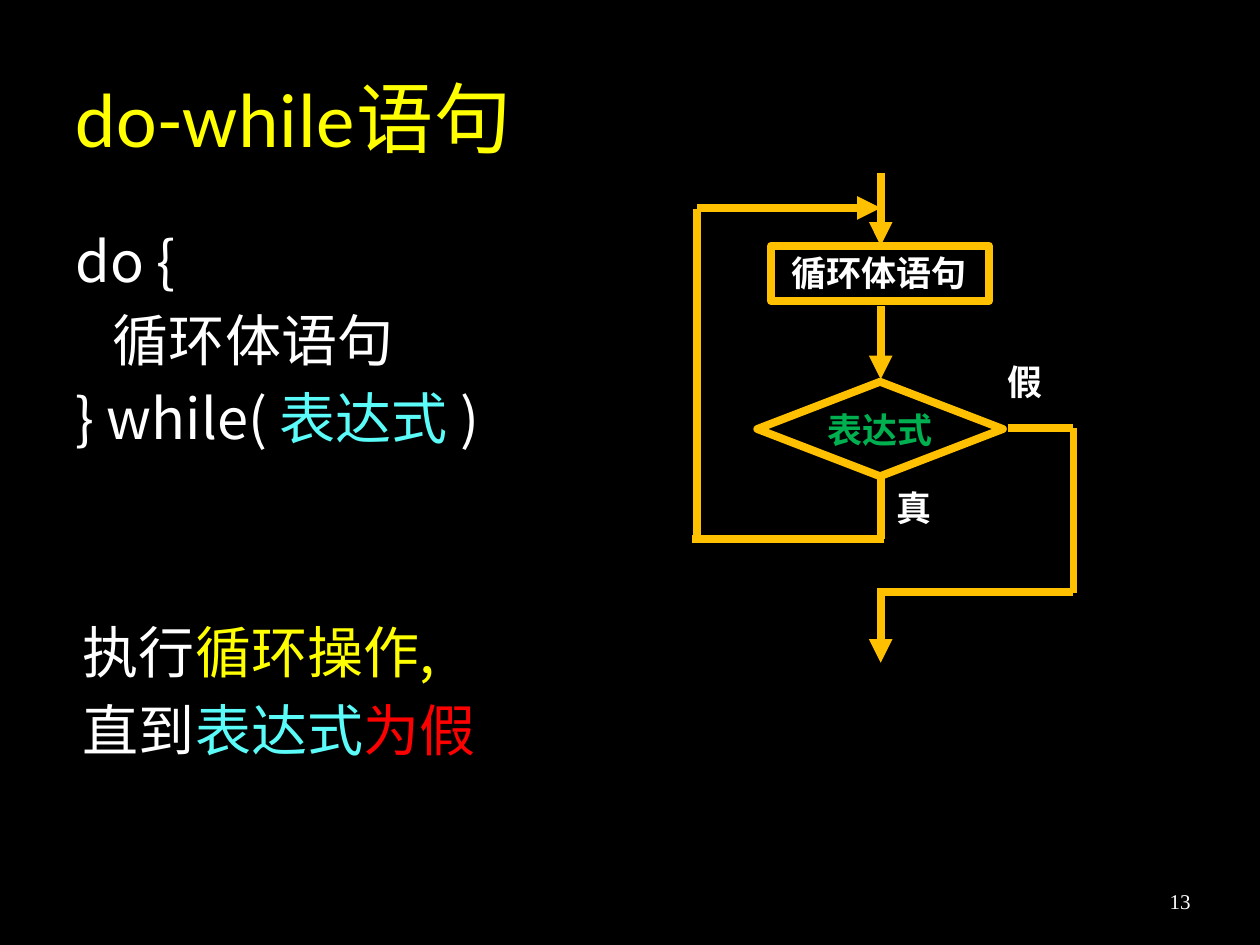
from lxml import etree
from pptx import Presentation
from pptx import util as u
from pptx.dml.color import RGBColor
from pptx.enum import shapes, text
from pptx.oxml.ns import qn

HUES = {"black": "000000", "white": "FFFFFF", "yellow": "FFFF00", "cyan": "5AFBF8",
        "red": "FF0000", "green": "00B050", "gold": "FFC000"}
COLS, ROWS = 100, 75
SANS, SERIF, HEAD = "Noto Sans CJK SC", "Times New Roman", "Calibri"


class Deck:
    """Style and current slide, drawn on a grid of COLS by ROWS cells."""

    def __init__(self):
        self.file = Presentation()
        self.file.slide_width, self.file.slide_height = u.Inches(10), u.Inches(7.5)
        self.slide = self.file.slides.add_slide(self.file.slide_layouts[6])
        fill = self.slide.background.fill
        fill.solid()
        fill.fore_color.rgb = self.hue("black")

    def hue(self, name):
        return RGBColor.from_string(HUES[name])

    def place(self, col, row):
        return (round(self.file.slide_width * col / COLS),
                round(self.file.slide_height * row / ROWS))

    def letter(self, shape, lines, size, font, bold=False, align="LEFT", mid=False,
               pad=(0.1, 0.05), wrap=True, gap=0, track=0):
        frame = shape.text_frame
        frame.word_wrap = wrap
        frame.vertical_anchor = text.MSO_ANCHOR.MIDDLE if mid else text.MSO_ANCHOR.TOP
        frame.margin_left = frame.margin_right = u.Inches(pad[0])
        frame.margin_top = frame.margin_bottom = u.Inches(pad[1])
        for i, line in enumerate(lines):
            para = frame.add_paragraph() if i else frame.paragraphs[0]
            para.alignment = getattr(text.PP_ALIGN, align)
            para.space_before = u.Pt(gap if i else 0)
            for words, color in line:
                run = para.add_run()
                run.text = words
                run.font.size, run.font.name, run.font.bold = u.Pt(size), font, bold
                run.font.color.rgb = self.hue(color)
                if track:
                    run._r.get_or_add_rPr().set("spc", str(track))

    def label(self, col, row, wide, high, lines, size, font, **style):
        box = self.slide.shapes.add_textbox(*self.place(col, row), *self.place(wide, high))
        self.letter(box, lines, size, font, **style)

    def node(self, kind, col, row, wide, high, words, color, **style):
        shape = self.slide.shapes.add_shape(kind, *self.place(col, row), *self.place(wide, high))
        shape.shadow.inherit = False
        shape.fill.background()
        shape.line.color.rgb = self.hue("gold")
        shape.line.width = u.Pt(4.5)
        self.letter(shape, [[(words, color)]], 20, SERIF, bold=True, **style)

    def line(self, start, end, arrow=False):
        link = self.slide.shapes.add_connector(
            shapes.MSO_CONNECTOR.STRAIGHT, *self.place(*start), *self.place(*end))
        link.line.color.rgb = self.hue("gold")
        link.line.width = u.Pt(4.5)
        props = link._element.spPr
        if arrow:
            etree.SubElement(props.find(qn("a:ln")), qn("a:tailEnd"), type="triangle")
        etree.SubElement(props, qn("a:effectLst"))


def main():
    deck = Deck()
    deck.label(5, 3, 85, 12.5, [[("do-while语句", "yellow")]], 44, HEAD, mid=True, track=50)
    deck.label(5, 17.5, 50, 20, [
        [("do {", "white")],
        [("   循环体语句", "white")],
        [("} while( ", "white"), ("表达式 ", "cyan"), (")", "white")],
    ], 32, SANS, gap=6.4)
    deck.label(5.6, 48.5, 50, 14, [
        [("执行", "white"), ("循环操作,", "yellow")],
        [("直到", "white"), ("表达式", "cyan"), ("为假", "red")],
    ], 32, SANS, gap=6.4)
    deck.label(71.7, 69.5, 23.3, 4, [[("13", "white")]], 12, SERIF,
               align="RIGHT", mid=True, pad=(0.05, 0.05))

    axis, left, right = 69.9, 55.3, 85.2
    kind = shapes.MSO_SHAPE
    deck.node(kind.DIAMOND, 60.1, 30.3, 19.5, 7.5, "表达式", "green",
              align="CENTER", mid=True, pad=(0, 0.05), wrap=False)
    deck.node(kind.RECTANGLE, 61.2, 19.5, 17.3, 4.4, "循环体语句", "white", pad=(0.16, 0.05))
    for col, row, words in ((70.2, 38.1, "真"), (79, 28.1, "假")):
        deck.label(col, row, 5.4, 4.3, [[(words, "white")]], 20, SERIF, bold=True)

    for top, end in ((13.7, 19.5), (24.3, 30.1), (46.8, 52.6)):
        deck.line((axis, top), (axis, end), arrow=True)
    deck.line((axis, 37.6), (axis, 42.8))
    deck.line((axis + 0.3, 42.8), (left - 0.4, 42.8))
    deck.line((left, 42.8), (left, 16.6))
    deck.line((left, 16.5), (axis, 16.5), arrow=True)
    deck.line((80, 34), (right, 34))
    deck.line((right, 34), (right, 47.1))
    deck.line((right, 47), (axis - 0.3, 47))
    deck.file.save("out.pptx")


if __name__ == "__main__":
    main()
